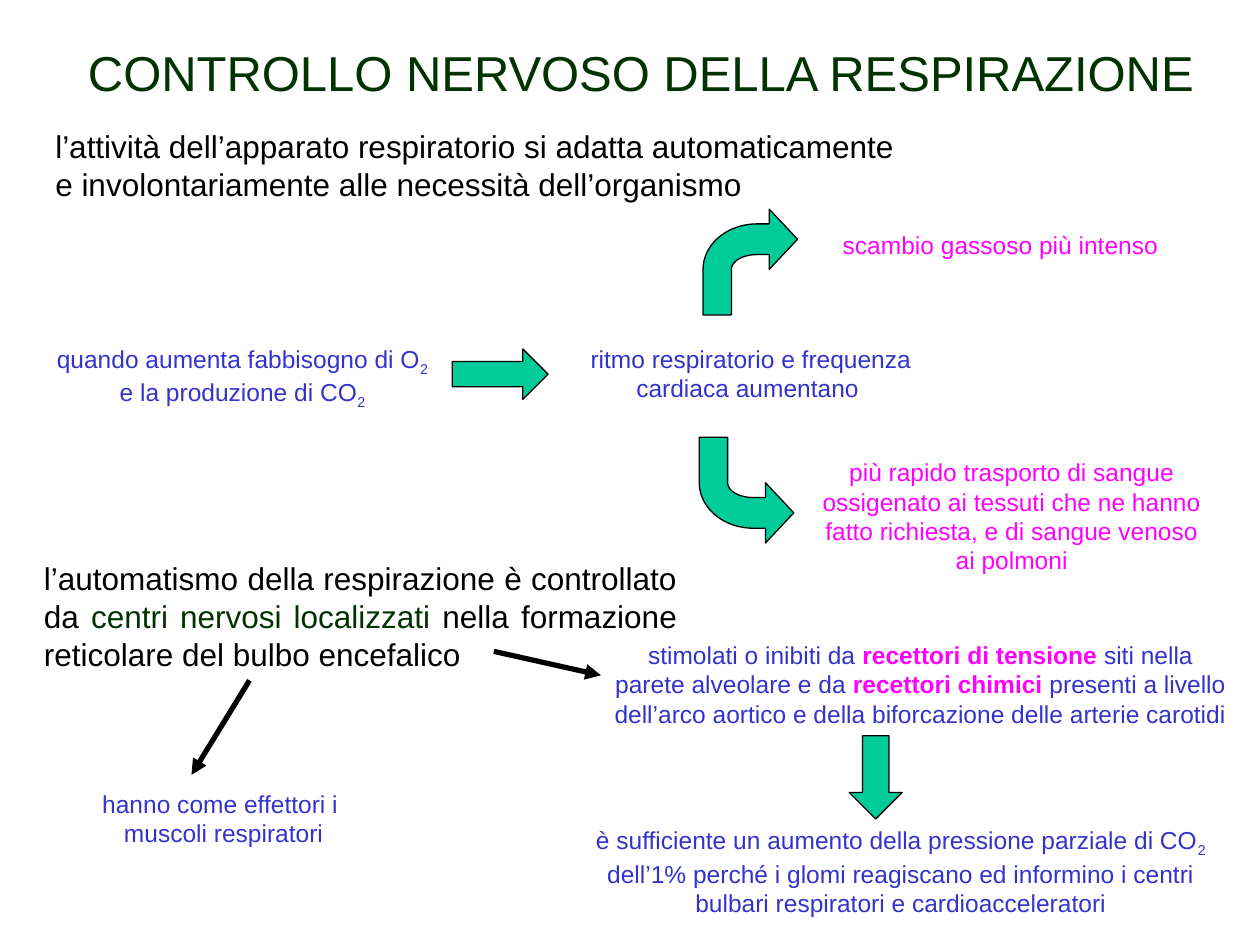
from dataclasses import dataclass
from math import cos, pi, sin

from lxml import etree
from pptx import Presentation
from pptx.dml.color import RGBColor
from pptx.enum.shapes import MSO_CONNECTOR, MSO_SHAPE
from pptx.enum.text import MSO_AUTO_SIZE, PP_ALIGN
from pptx.oxml.ns import qn
from pptx.util import Inches, Pt

LEFT, CENTER, JUSTIFY = PP_ALIGN.LEFT, PP_ALIGN.CENTER, PP_ALIGN.JUSTIFY
RIGHT_ARROW, DOWN_ARROW = MSO_SHAPE.RIGHT_ARROW, MSO_SHAPE.DOWN_ARROW
STRAIGHT = MSO_CONNECTOR.STRAIGHT
GROW = MSO_AUTO_SIZE.SHAPE_TO_FIT_TEXT

COLORS = {
    "black": "000000",
    "heading": "003300",
    "step": "3333CC",
    "key": "FF00FF",
    "arrow": "00CC99",
}
FONT = "Arial"
COLUMNS, ROWS = 100, 75
UNIT = Inches(10) // COLUMNS


@dataclass
class Box:
    """Area measured in grid columns and rows."""
    left: float
    top: float
    width: float
    height: float

    def inner(self, left, top, width, height):
        return Box(self.left + left, self.top + top, width, height)

    def point(self, x, y):
        return units(self.left + x), units(self.top + y)

    def emu(self):
        return [units(n) for n in (self.left, self.top, self.width, self.height)]


def units(n):
    return round(n * UNIT)


def color(name):
    return RGBColor.from_string(COLORS[name])


def add_text(slide, box, lines, ink="step", size=14, align=CENTER, wrap=False):
    """Each line is a string or a list of (text, style) runs;
    a style is None, "sub", "bold" or the name of a colour."""
    frame = slide.shapes.add_textbox(*box.emu()).text_frame
    frame.word_wrap = wrap
    frame.auto_size = GROW
    for index, line in enumerate(lines):
        paragraph = frame.paragraphs[0] if index == 0 else frame.add_paragraph()
        paragraph.alignment = align
        paragraph.font.name = FONT
        paragraph.font.size = Pt(size)
        paragraph.font.color.rgb = color(ink)
        for text, style in [(line, None)] if isinstance(line, str) else line:
            run = paragraph.add_run()
            run.text = text
            if style == "sub":
                run.font._element.set("baseline", "-25000")
            elif style == "bold":
                run.font.bold = True
                run.font.color.rgb = color("key")
            elif style:
                run.font.color.rgb = color(style)


def paint_arrow(arrow):
    arrow.shadow.inherit = False
    arrow.fill.solid()
    arrow.fill.fore_color.rgb = color("arrow")
    arrow.line.color.rgb = color("black")
    arrow.line.width = Pt(0.75)


def add_block_arrow(slide, box, kind):
    paint_arrow(slide.shapes.add_shape(kind, *box.emu()))


def add_bent_arrow(slide, box, downward=False):
    """Arrow that leaves vertically and bends to the right."""
    shaft, bend, neck = 0.3, 0.57, 0.7
    head, shoulder, inside = 0.57, 0.14, 0.43
    middle = head / 2

    def arc(rx, ry, start, end, steps=24):
        angles = [start + (end - start) * i / steps for i in range(steps + 1)]
        return [(bend - rx * cos(a), head - ry * sin(a)) for a in angles]

    outline = [(1, middle), (neck, 0), (neck, shoulder)]
    outline += arc(bend, head - shoulder, pi / 2, 0)
    outline += [(0, 1), (shaft, 1)]
    outline += arc(bend - shaft, head - inside, 0, pi / 2)
    outline += [(neck, inside), (neck, head)]
    points = [box.point(x * box.width, (1 - y if downward else y) * box.height)
              for x, y in outline]
    builder = slide.shapes.build_freeform(*points[0])
    builder.add_line_segments(points[1:], close=True)
    paint_arrow(builder.convert_to_shape())


def add_pointer(slide, start, end):
    pointer = slide.shapes.add_connector(STRAIGHT, *start, *end)
    pointer.line.color.rgb = color("black")
    pointer.line.width = Pt(3)
    etree.SubElement(pointer.line._get_or_add_ln(), qn("a:tailEnd"), type="triangle")
    etree.SubElement(pointer._element.spPr, qn("a:effectLst"))


def add_heading(slide, box):
    add_text(slide, box.inner(2.6, 0, 90, 5.7),
             ["CONTROLLO NERVOSO DELLA RESPIRAZIONE"], "heading", 28, LEFT)
    add_text(slide, box.inner(0, 6.7, 83.9, 7),
             ["l’attività dell’apparato respiratorio si adatta automaticamente ",
              "e involontariamente alle necessità dell’organismo "],
             "black", 18, JUSTIFY, wrap=True)


def add_adaptation(slide, box):
    """Greater need, faster rhythm and its two outcomes."""
    add_text(slide, box.inner(0, 10.2, 32, 6.3),
             [[("quando aumenta fabbisogno di O", None), ("2 ", "sub")],
              [("e la produzione di CO", None), ("2 ", "sub")]])
    add_block_arrow(slide, box.inner(32.5, 11.1, 7.6, 4), RIGHT_ARROW)
    add_text(slide, box.inner(42.3, 10.2, 27.8, 5.7),
             ["ritmo respiratorio e frequenza", "cardiaca aumentano "])
    add_bent_arrow(slide, box.inner(52.4, 0, 7.5, 8.4))
    add_text(slide, box.inner(62.5, 1.2, 27.4, 3.4),
             ["scambio gassoso più intenso"], "key", align=LEFT)
    add_bent_arrow(slide, box.inner(52.1, 18.1, 7.5, 8.4), downward=True)
    add_text(slide, box.inner(60.9, 19.2, 32, 10.4),
             ["più rapido trasporto di sangue",
              "ossigenato ai tessuti che ne hanno",
              "fatto richiesta, e di sangue venoso",
              "ai polmoni"], "key")


def add_nervous_centres(slide, box):
    """Control centres, their effectors and their receptors."""
    add_text(slide, box.inner(0, 0, 52.2, 10),
             [[("l’automatismo della respirazione è controllato da ", None),
               ("centri nervosi localizzati ", "heading"),
               ("nella formazione reticolare del bulbo encefalico", None)]],
             "black", 18, JUSTIFY, wrap=True)
    add_pointer(slide, box.point(17.3, 10.1), box.point(12.7, 17.6))
    add_text(slide, box.inner(4.6, 18.2, 21.3, 5.7),
             ["hanno come effettori i ", "muscoli respiratori"])
    add_pointer(slide, box.point(36.7, 7.8), box.point(45.2, 9.7))
    add_text(slide, box.inner(45.1, 6.4, 50.9, 8),
             [[("stimolati o inibiti da ", None), ("recettori di tensione", "bold"),
               (" siti nella", None)],
              [("parete alveolare e da ", None), ("recettori chimici", "bold"),
               (" presenti a livello", None)],
              "dell’arco aortico e della biforcazione delle arterie carotidi"])
    add_block_arrow(slide, box.inner(64.9, 14.5, 4.2, 6.6), DOWN_ARROW)
    add_text(slide, box.inner(43.8, 21.1, 50.4, 8.4),
             [[("è sufficiente un aumento della pressione parziale di CO", None),
               ("2", "sub")],
              "dell’1% perché i glomi reagiscano ed informino i centri",
              "bulbari respiratori e cardioacceleratori"])


def main():
    deck = Presentation()
    deck.slide_width, deck.slide_height = units(COLUMNS), units(ROWS)
    slide = deck.slides.add_slide(deck.slide_layouts[6])
    add_heading(slide, Box(3.4, 2.9, 92.6, 13.7))
    add_adaptation(slide, Box(3.4, 16.6, 92.9, 29.6))
    add_nervous_centres(slide, Box(2.5, 43.9, 96, 29.5))
    deck.save("out.pptx")


if __name__ == "__main__":
    main()
